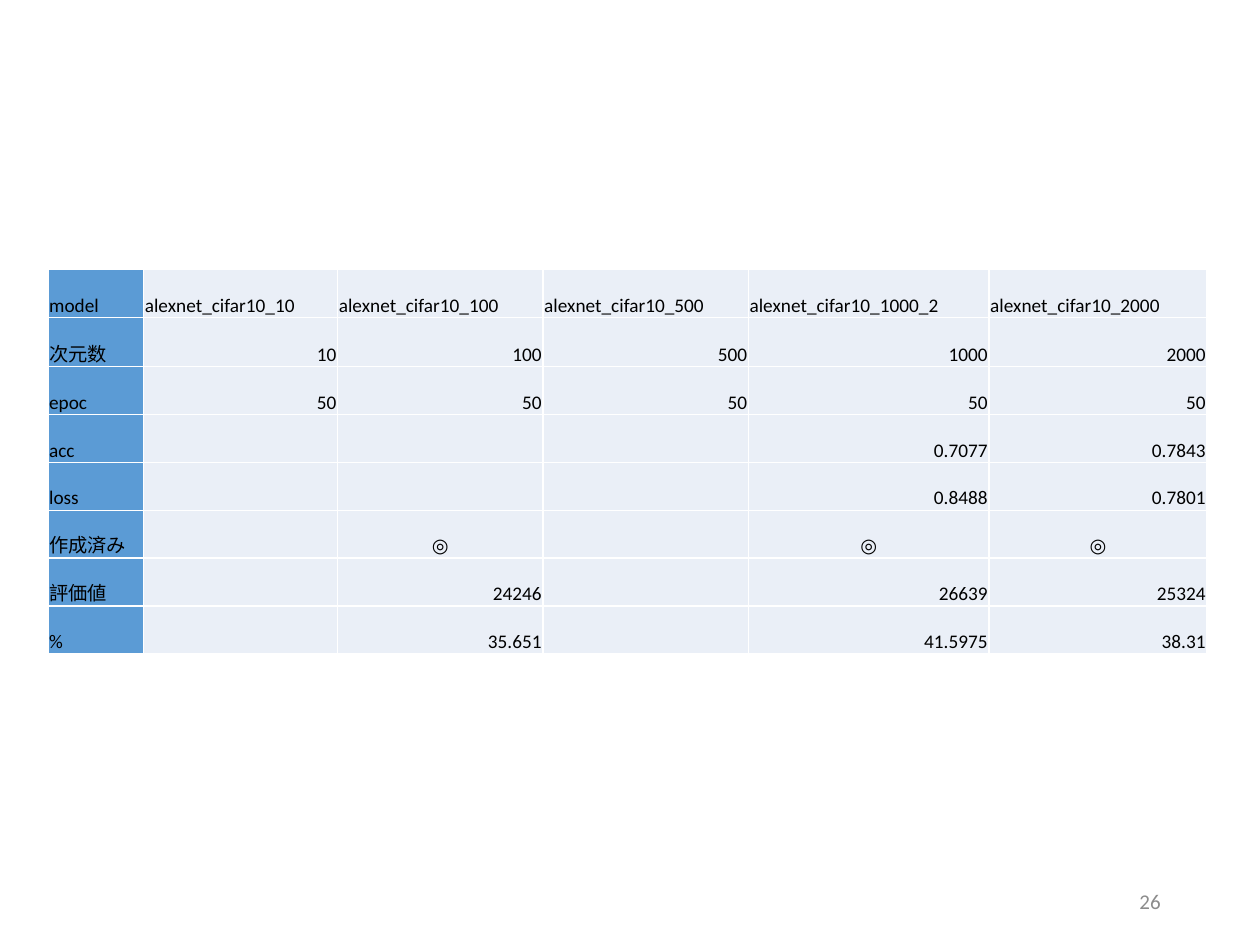
from lxml import etree
from pptx import Presentation
from pptx.dml.color import RGBColor
from pptx.enum.text import MSO_ANCHOR, PP_ALIGN
from pptx.oxml.ns import qn
from pptx.util import Inches, Pt

LEFT, MID, RIGHT = PP_ALIGN.LEFT, PP_ALIGN.CENTER, PP_ALIGN.RIGHT
BOTTOM, MIDDLE = MSO_ANCHOR.BOTTOM, MSO_ANCHOR.MIDDLE

BLUE = RGBColor(0x5B, 0x9B, 0xD5)
PALE = RGBColor(0xEA, 0xEF, 0xF7)
WHITE = RGBColor(0xFF, 0xFF, 0xFF)
BLACK = RGBColor(0, 0, 0)
GREY = RGBColor(0x8C, 0x8C, 0x8C)
FONT = "Calibri"

WIDTHS = [0.76, 1.54, 1.63, 1.63, 1.91, 1.73]
HEIGHTS = [0.38, 0.39] + [0.38] * 6
MARK = "◎"
ROWS = [
    ["model", "alexnet_cifar10_10", "alexnet_cifar10_100",
     "alexnet_cifar10_500", "alexnet_cifar10_1000_2",
     "alexnet_cifar10_2000"],
    ["次元数", "10", "100", "500", "1000", "2000"],
    ["epoc"] + ["50"] * 5,
    ["acc", "", "", "", "0.7077", "0.7843"],
    ["loss", "", "", "", "0.8488", "0.7801"],
    ["作成済み", "", MARK, "", MARK, MARK],
    ["評価値", "", "24246", "", "26639", "25324"],
    ["%", "", "35.651", "", "41.5975", "38.31"],
]


def add_run(frame, text, size, color, align):
    para = frame.paragraphs[0]
    para.alignment = align
    run = para.add_run()
    run.text = text
    run.font.size = Pt(size)
    run.font.name = FONT
    run.font.color.rgb = color


def add_edges(cell):
    props = cell._tc.get_or_add_tcPr()
    for side in ("lnL", "lnR", "lnT", "lnB"):
        line = etree.SubElement(props, qn(f"a:{side}"), w=str(Pt(1)))
        fill = etree.SubElement(line, qn("a:solidFill"))
        etree.SubElement(fill, qn("a:srgbClr"), val=str(WHITE))


def fill_cell(cell, text, fill, align):
    add_edges(cell)
    cell.fill.solid()
    cell.fill.fore_color.rgb = fill
    cell.vertical_anchor = BOTTOM
    cell.margin_left = cell.margin_right = cell.margin_top = Inches(0.01)
    cell.margin_bottom = 0
    if text:
        add_run(cell.text_frame, text, 11, BLACK, align)


def add_grid(slide):
    frame = slide.shapes.add_table(
        len(ROWS), len(WIDTHS), Inches(0.38), Inches(2.14),
        Inches(sum(WIDTHS)), Inches(sum(HEIGHTS)))
    table = frame.table
    for col, width in zip(table.columns, WIDTHS):
        col.width = Inches(width)
    for row, height in zip(table.rows, HEIGHTS):
        row.height = Inches(height)

    # Names go left, marks to the middle, numbers right
    for r, texts in enumerate(ROWS):
        for c, text in enumerate(texts):
            if r == 0 or c == 0:
                align = LEFT
            else:
                align = MID if text == MARK else RIGHT
            fill = BLUE if c == 0 else PALE
            fill_cell(table.cell(r, c), text, fill, align)


def add_number(slide, text):
    box = slide.shapes.add_textbox(
        Inches(7.06), Inches(6.95), Inches(2.25), Inches(0.4))
    frame = box.text_frame
    frame.word_wrap = True
    frame.vertical_anchor = MIDDLE
    add_run(frame, text, 12, GREY, RIGHT)


def main():
    deck = Presentation()
    deck.slide_width, deck.slide_height = Inches(10), Inches(7.5)
    slide = deck.slides.add_slide(deck.slide_layouts[6])

    # Page number, then table of results
    add_number(slide, "26")
    add_grid(slide)
    deck.save("out.pptx")


if __name__ == "__main__":
    main()
